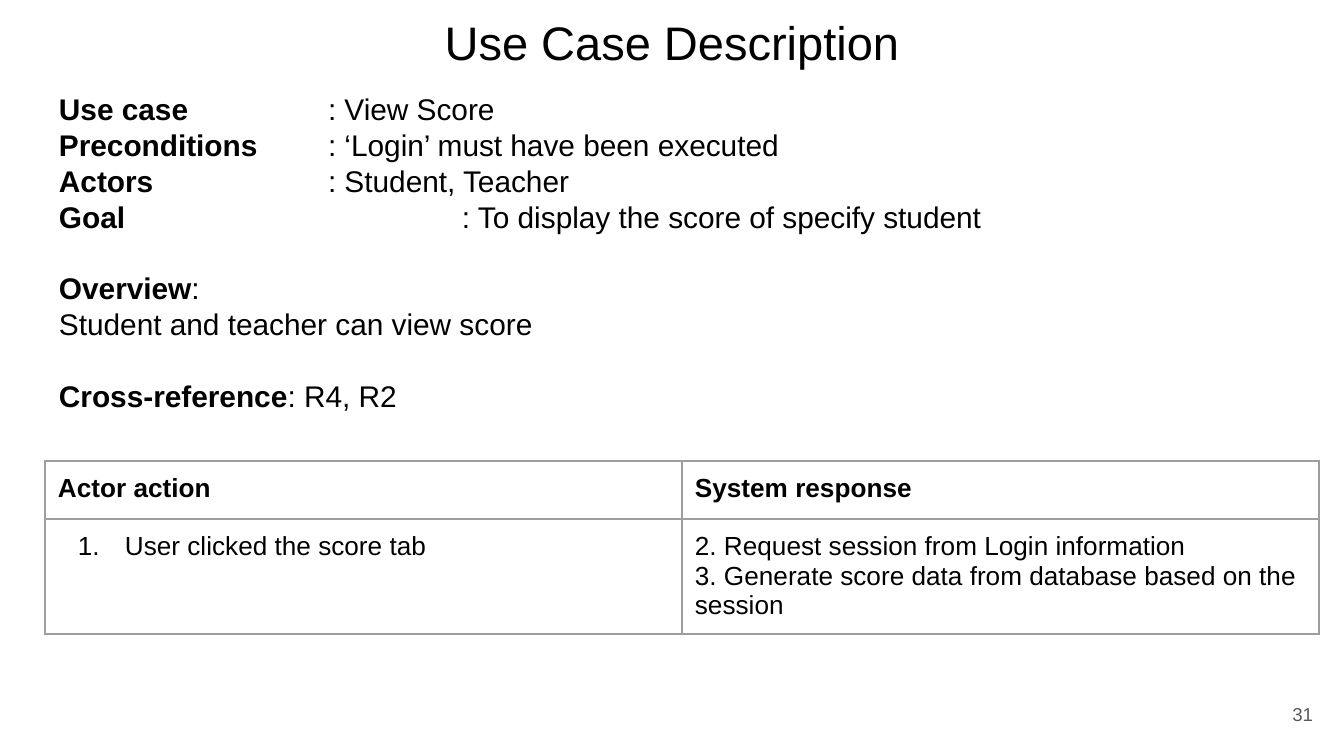
import pptx
import pptx.util
import pptx.oxml
import pptx.oxml.ns
import pptx.dml.color
import pptx.enum.text

BLACK = pptx.dml.color.RGBColor(0, 0, 0)
GREY = pptx.dml.color.RGBColor(0x59, 0x59, 0x59)
RULE = pptx.dml.color.RGBColor(0x9E, 0x9E, 0x9E)
FONT = "Arial"
ALIGN = pptx.enum.text.PP_ALIGN
ANCHOR = pptx.enum.text.MSO_ANCHOR

TITLE = "Use Case Description"
# label, text, tab stop, space before
FACTS = [
    ("Use case", "\t: View Score", 269, 0),
    ("Preconditions", "\t: ‘Login’ must have been executed", 269, 0),
    ("Actors", "\t: Student, Teacher", 269, 0),
    ("Goal", "\t: To display the score of specify student", 403, 0),
    ("Overview", ":", 0, 1),
    ("", "Student and teacher can view score", 0, 0),
    ("Cross-reference", ": R4, R2", 0, 1),
]
STEPS = [
    [["Actor action"], ["System response"]],
    [["User clicked the score tab"],
     ["2. Request session from Login information",
      "3. Generate score data from database based on the session"]],
]
PAGE = "31"
LINE = pptx.util.Pt(19.2)
PAD = 13


def px(n):
    return pptx.util.Emu(round(n * 914400 / 134.4))


def style(para, size, color=BLACK, bold=None):
    font = para.font
    font.name, font.size, font.bold = FONT, pptx.util.Pt(size), bold
    font.color.rgb = color


def frame(shape, anchor, top=PAD):
    text = shape.text_frame
    text.word_wrap = True
    text.auto_size = pptx.enum.text.MSO_AUTO_SIZE.NONE
    text.vertical_anchor = anchor
    text.margin_left = text.margin_right = text.margin_bottom = px(PAD)
    text.margin_top = px(top)
    return text


def add(parent, tag, **attrs):
    node = pptx.oxml.ns.qn(tag)
    child = parent.makeelement(node, {k: str(v) for k, v in attrs.items()})
    parent.append(child)
    return child


def border(cell):
    props = cell._tc.get_or_add_tcPr()
    for at, side in enumerate(("a:lnL", "a:lnR", "a:lnT", "a:lnB")):
        line = add(props, side, w=pptx.util.Pt(0.75))
        fill = add(line, "a:solidFill")
        add(fill, "a:srgbClr", val=RULE)
        props.insert(at, line)


def facts(slide):
    box = slide.shapes.add_textbox(px(46), px(75), px(1252), px(625))
    text = frame(box, ANCHOR.TOP, 16)
    for at, (label, words, stop, gap) in enumerate(FACTS):
        para = text.add_paragraph() if at else text.paragraphs[0]
        style(para, 16)
        para.line_spacing = LINE
        para.space_before = LINE * gap
        if label:
            run = para.add_run()
            run.text, run.font.bold = label, True
        para.add_run().text = words
        if stop:
            tabs = add(para._p.get_or_add_pPr(), "a:tabLst")
            add(tabs, "a:tab", pos=px(stop), algn="l")
            para._p.pPr.insert_element_before(tabs, "a:defRPr", "a:extLst")


def steps(slide):
    shape = slide.shapes.add_table(2, 2, px(45), px(461), px(1274), px(173))
    table = shape.table
    table.first_row = table.horz_banding = False
    for row, high in zip(table.rows, (58, 115)):
        row.height = px(high)
    for r, row in enumerate(STEPS):
        for c, lines in enumerate(row):
            cell = table.cell(r, c)
            cell.fill.background()
            border(cell)
            cell.margin_left = cell.margin_right = px(PAD)
            cell.margin_top = cell.margin_bottom = px(PAD)
            cell.text = "\n".join(lines)
            for para in cell.text_frame.paragraphs:
                style(para, 14, bold=r == 0)
    para = table.cell(1, 0).text_frame.paragraphs[0]
    props = para._p.get_or_add_pPr()
    props.set("marL", str(px(67)))
    props.set("indent", str(px(-47)))
    mark = add(props, "a:buAutoNum", type="arabicPeriod")
    props.insert_element_before(mark, "a:defRPr", "a:extLst")


def main():
    deck = pptx.Presentation()
    deck.slide_width, deck.slide_height = px(1344), px(756)
    slide = deck.slides.add_slide(deck.slide_layouts[5])
    facts(slide)
    title = slide.shapes.title
    title.left, title.top = px(310), px(0)
    title.width, title.height = px(724), px(83)
    page = slide.shapes.add_textbox(px(1246), px(685), px(80), px(58))
    for shape, words, size, color, align, anchor in (
        (title, TITLE, 25.2, BLACK, ALIGN.CENTER, ANCHOR.BOTTOM),
        (page, PAGE, 10, GREY, ALIGN.RIGHT, ANCHOR.MIDDLE),
    ):
        text = frame(shape, anchor)
        text.text = words
        text.paragraphs[0].alignment = align
        style(text.paragraphs[0], size, color)
    steps(slide)
    deck.save("out.pptx")


if __name__ == "__main__":
    main()
